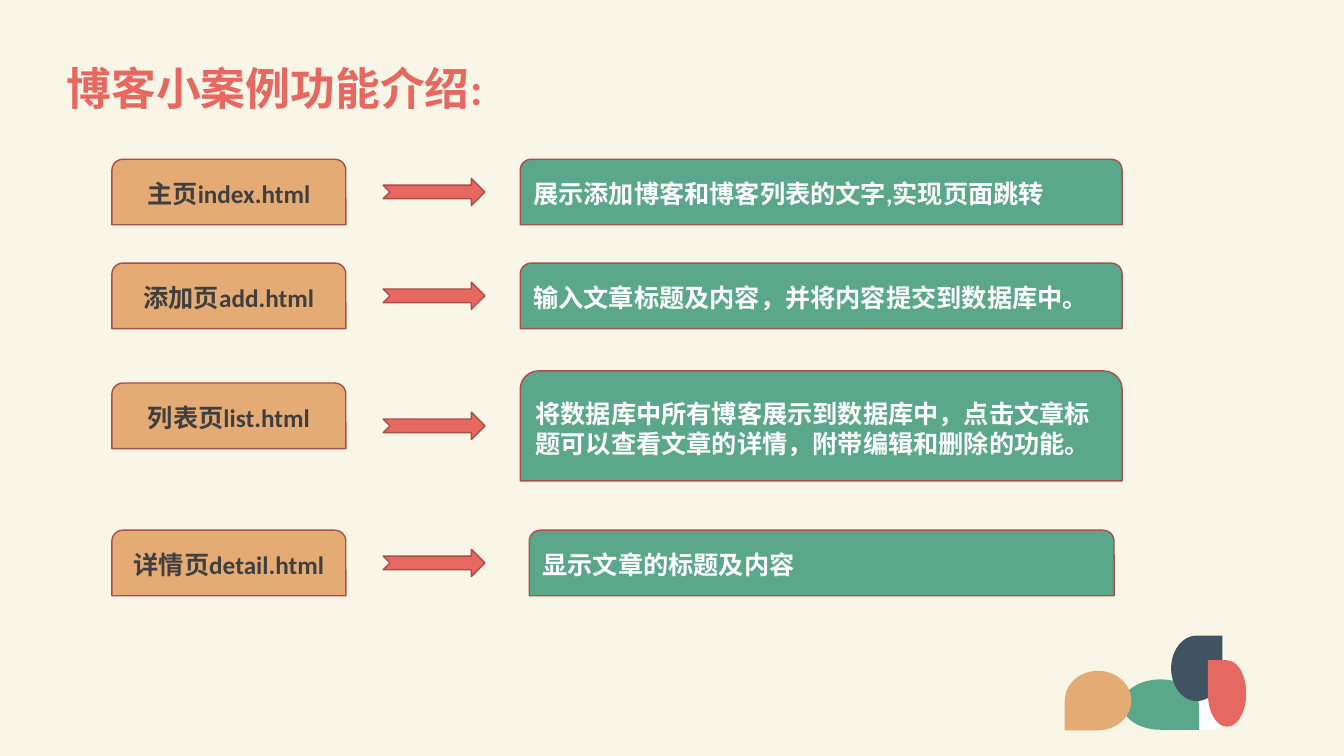
"""Build a slide that introduces the pages of a small blog project."""
from pptx import Presentation
from pptx.dml.color import RGBColor
from pptx.enum.shapes import MSO_SHAPE
from pptx.enum.text import MSO_ANCHOR, PP_ALIGN
from pptx.util import Inches, Pt

CREAM = RGBColor(0xF9, 0xF6, 0xE7)
CORAL = RGBColor(0xE7, 0x68, 0x61)
BRICK = RGBColor(0xAB, 0x4D, 0x48)
SAND = RGBColor(0xE5, 0xAB, 0x74)
GREEN = RGBColor(0x5B, 0xA7, 0x8C)
NAVY = RGBColor(0x3F, 0x53, 0x61)
CHARCOAL = RGBColor(0x3F, 0x3F, 0x3F)
WHITE = RGBColor(0xFF, 0xFF, 0xFF)


def add_shape(page, kind, area, fill, line=None):
    shape = page.shapes.add_shape(kind, *[Inches(length) for length in area])
    shape.shadow.inherit = False
    shape.fill.solid()
    shape.fill.fore_color.rgb = fill
    if line is None:
        shape.line.fill.background()
    else:
        shape.line.color.rgb = line
        shape.line.width = Pt(1)
    return shape


def write(shape, text, size, color, align=PP_ALIGN.LEFT):
    frame = shape.text_frame
    frame.word_wrap = True
    frame.vertical_anchor = MSO_ANCHOR.MIDDLE
    para = frame.paragraphs[0]
    para.alignment = align
    span = para.add_run()
    span.text = text
    span.font.color.rgb = color
    for name, value in {"name": "Calibri", "size": Pt(size), "bold": True}.items():
        setattr(span.font, name, value)


deck = Presentation()
deck.slide_width = Inches(13.33)
deck.slide_height = Inches(7.5)
page = deck.slides.add_slide(deck.slide_layouts[6])
page.background.fill.solid()
page.background.fill.fore_color.rgb = CREAM

title = page.shapes.add_textbox(Inches(0.56), Inches(0.37), Inches(12.29), Inches(1.06))
write(title, "博客小案例功能介绍:", 32, CORAL)
title.text_frame.paragraphs[0].line_spacing = 0.9

add_shape(page, MSO_SHAPE.OVAL, (11.64, 6.94, 0.6, 0.3), WHITE)

petals = [
    (11.51, 6.99, 0.76, 0.5, 90, GREEN),
    (11.87, 6.63, 0.51, 0.65, 0, NAVY),
    (12.17, 6.88, 0.38, 0.66, 270, CORAL),
    (10.89, 6.95, 0.66, 0.59, 180, SAND),
]
for center_x, center_y, width, height, turn, color in petals:
    if turn % 180:
        width, height = height, width
    area = (center_x - width / 2, center_y - height / 2, width, height)
    petal = add_shape(page, MSO_SHAPE.TEAR, area, color)
    petal.rotation = turn

rows = [
    ("主页index.html", 1.58, 1.77, (5.16, 1.58, 5.97, 0.65),
     "展示添加博客和博客列表的文字,实现页面跳转"),
    ("添加页add.html", 2.61, 2.8, (5.16, 2.61, 5.97, 0.65),
     "输入文章标题及内容，并将内容提交到数据库中。"),
    ("列表页list.html", 3.8, 4.09, (5.16, 3.68, 5.97, 1.09),
     "将数据库中所有博客展示到数据库中，点击文章标题可以查看文章的详情，附带编辑和删除的功能。"),
    ("详情页detail.html", 5.26, 5.45, (5.25, 5.26, 5.8, 0.65),
     "显示文章的标题及内容"),
]
for name, name_top, arrow_top, detail_area, detail in rows:
    boxes = [
        ((1.11, name_top, 2.32, 0.65), SAND, name, CHARCOAL, PP_ALIGN.CENTER),
        (detail_area, GREEN, detail, WHITE, PP_ALIGN.LEFT),
    ]
    for area, fill, text, color, align in boxes:
        box = add_shape(page, MSO_SHAPE.ROUND_2_SAME_RECTANGLE, area, fill, BRICK)
        write(box, text, 18, color, align)
    add_shape(page, MSO_SHAPE.NOTCHED_RIGHT_ARROW, (3.8, arrow_top, 1.01, 0.27), CORAL, BRICK)

deck.save("out.pptx")
